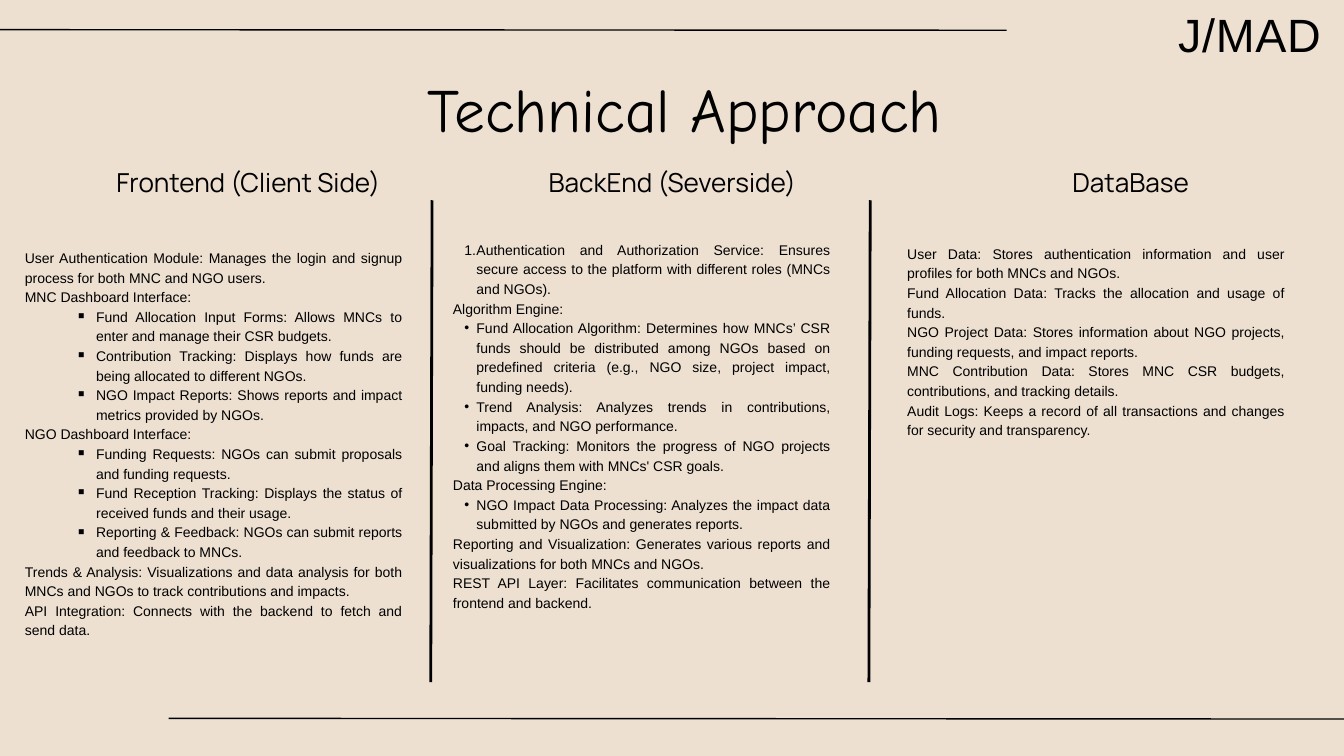
from lxml.etree import SubElement
from pptx import Presentation
from pptx.dml.color import RGBColor
from pptx.enum.shapes import MSO_CONNECTOR
from pptx.enum.text import MSO_ANCHOR, MSO_AUTO_SIZE, PP_ALIGN
from pptx.oxml.ns import qn
from pptx.util import Inches, Pt

INK = "000000"
PAPER = "EDE0D1"


def color(hex_value):
    return RGBColor.from_string(hex_value)


def write(shape, box, items, font, size, spacing, align):
    """Place a shape and fill it with (marker, text) paragraphs."""
    shape.left, shape.top, shape.width, shape.height = [Inches(v) for v in box]
    frame = shape.text_frame
    frame.word_wrap = True
    frame.auto_size = MSO_AUTO_SIZE.NONE
    frame.vertical_anchor = MSO_ANCHOR.TOP
    frame.margin_left = frame.margin_top = frame.margin_right = frame.margin_bottom = 0
    frame.text = "\n".join(text for _, text in items)
    for paragraph, (marker, _) in zip(frame.paragraphs, items):
        paragraph.alignment = align
        paragraph.line_spacing = Pt(spacing)
        paragraph.space_before = paragraph.space_after = Pt(0)
        run_font = paragraph.runs[0].font
        run_font.name, run_font.size, run_font.bold = font, Pt(size), False
        run_font.color.rgb = color(INK)

        # Indent and bullet
        left, hanging = {"": (0, 0), "￭": (1.06, -0.27)}.get(marker, (0.35, -0.18))
        properties = paragraph._p.get_or_add_pPr()
        properties.set("marL", str(Inches(left)))
        properties.set("indent", str(Inches(hanging)))
        if marker == "":
            SubElement(properties, qn("a:buNone"))
        elif marker == "1.":
            SubElement(properties, qn("a:buAutoNum"), type="arabicPeriod")
        else:
            SubElement(properties, qn("a:buFont"), typeface="Arial")
            SubElement(properties, qn("a:buChar"), char=marker)


prs = Presentation()
prs.slide_width, prs.slide_height = Inches(20), Inches(11.25)
slide = prs.slides.add_slide(prs.slide_layouts.get_by_name("Comparison"))
slide.background.fill.solid()
slide.background.fill.fore_color.rgb = color(PAPER)

# Title and team name
write(slide.shapes.title, (5.99, 0.87, 8.02, 1.22), [("", "Technical Approach")],
      "Comic Neue", 65.8, 92.1, PP_ALIGN.RIGHT)
team = slide.shapes.add_textbox(0, 0, 0, 0)
write(team, (12.94, -0.05, 6.72, 0.93), [("", "J/MAD")], "Arial", 50, 70, PP_ALIGN.RIGHT)
team.text_frame.paragraphs[0].runs[0]._r.get_or_add_rPr().set("spc", "80")

# Columns: heading, heading left and width, list left, top and height, list items
columns = [
    ("Frontend (Client Side)", 1.5, 4.39, 0.37, 3.67, 6.18, [
        ("", "User Authentication Module: Manages the login and signup process for both MNC and NGO users."),
        ("", "MNC Dashboard Interface:"),
        ("￭", "Fund Allocation Input Forms: Allows MNCs to enter and manage their CSR budgets."),
        ("￭", "Contribution Tracking: Displays how funds are being allocated to different NGOs."),
        ("￭", "NGO Impact Reports: Shows reports and impact metrics provided by NGOs."),
        ("", "NGO Dashboard Interface:"),
        ("￭", "Funding Requests: NGOs can submit proposals and funding requests."),
        ("￭", "Fund Reception Tracking: Displays the status of received funds and their usage."),
        ("￭", "Reporting & Feedback: NGOs can submit reports and feedback to MNCs."),
        ("", "Trends & Analysis: Visualizations and data analysis for both MNCs and NGOs "
             "to track contributions and impacts."),
        ("", "API Integration: Connects with the backend to fetch and send data."),
    ]),
    ("BackEnd (Severside)", 7.93, 4.15, 6.74, 3.55, 5.9, [
        ("1.", "Authentication and Authorization Service: Ensures secure access to the platform "
               "with different roles (MNCs and NGOs)."),
        ("", "Algorithm Engine:"),
        ("•", "Fund Allocation Algorithm: Determines how MNCs’ CSR funds should be distributed among NGOs "
              "based on predefined criteria (e.g., NGO size, project impact, funding needs)."),
        ("•", "Trend Analysis: Analyzes trends in contributions, impacts, and NGO performance."),
        ("•", "Goal Tracking: Monitors the progress of NGO projects and aligns them with MNCs' CSR goals."),
        ("", "Data Processing Engine:"),
        ("•", "NGO Impact Data Processing: Analyzes the impact data submitted by NGOs and generates reports."),
        ("", "Reporting and Visualization: Generates various reports and visualizations for both MNCs and NGOs."),
        ("", "REST API Layer: Facilitates communication between the frontend and backend."),
    ]),
    ("DataBase", 15.85, 1.95, 13.5, 3.61, 3.36, [
        ("", "User Data: Stores authentication information and user profiles for both MNCs and NGOs."),
        ("", "Fund Allocation Data: Tracks the allocation and usage of funds."),
        ("", "NGO Project Data: Stores information about NGO projects, funding requests, and impact reports."),
        ("", "MNC Contribution Data: Stores MNC CSR budgets, contributions, and tracking details."),
        ("", "Audit Logs: Keeps a record of all transactions and changes for security and transparency."),
    ]),
]

# The layout holds two heading and list pairs; the third column gets text boxes
slots = [slide.placeholders[index] for index in (1, 2, 3, 4)]
slots += [slide.shapes.add_textbox(0, 0, 0, 0) for _ in range(2)]
for column, heading_slot, list_slot in zip(columns, slots[::2], slots[1::2]):
    heading, heading_left, heading_width, list_left, list_top, list_height, items = column
    write(heading_slot, (heading_left, 2.4, heading_width, 0.56), [("", heading)],
          "Manrope", 28, 39.2, PP_ALIGN.CENTER)
    write(list_slot, (list_left, list_top, 5.62, list_height), items,
          "Arial", 15, 21, PP_ALIGN.JUSTIFY)

# Top and bottom rules, then the column dividers
rules = [
    (-2.82, 0.44, 14.98, 0.45, 1.5),
    (2.51, 10.69, 20.32, 10.7, 1.5),
    (6.43, 2.98, 6.41, 10.15, 3),
    (12.95, 2.98, 12.93, 10.15, 3),
]
for *ends, weight in rules:
    rule = slide.shapes.add_connector(MSO_CONNECTOR.STRAIGHT, *[Inches(v) for v in ends])
    rule.line.color.rgb = color(INK)
    rule.line.width = Pt(weight)
    SubElement(rule._element.spPr, qn("a:effectLst"))

prs.save("out.pptx")
